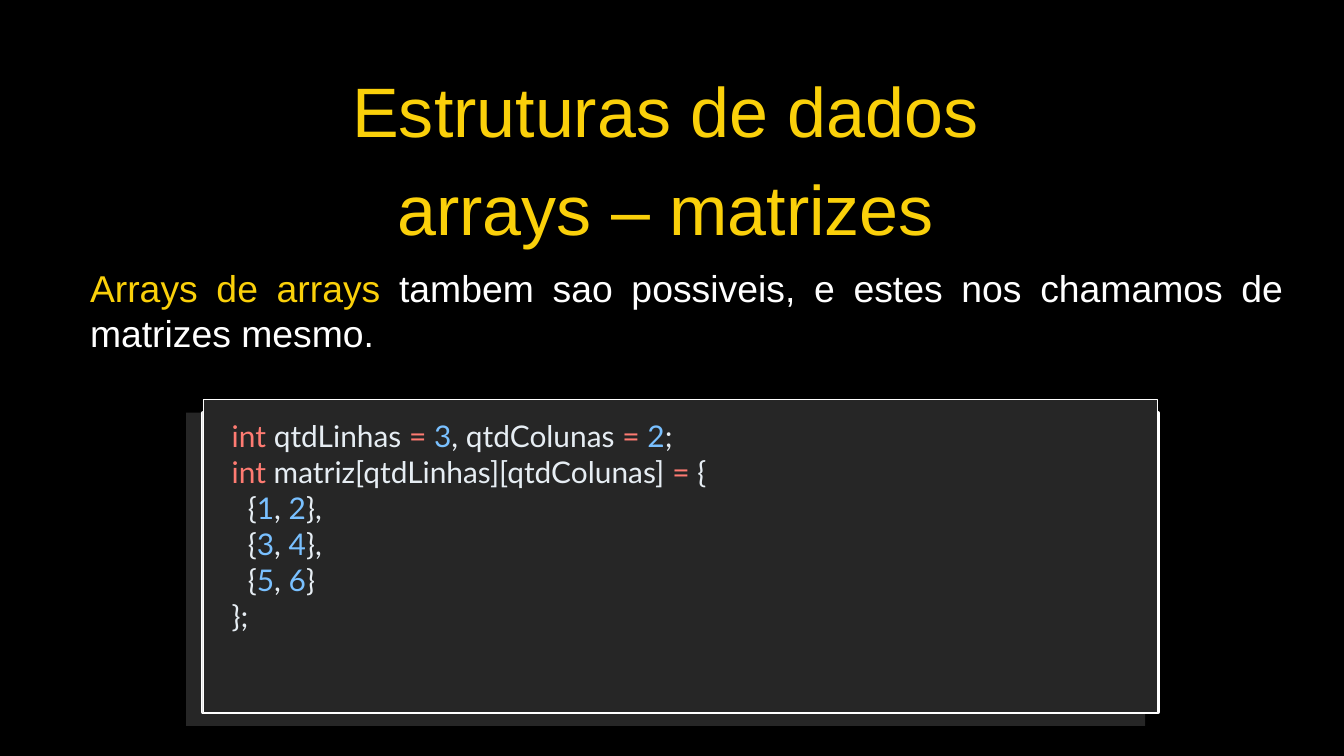
from pptx import Presentation
from pptx import util as u
from pptx.dml.color import RGBColor
from pptx.enum import shapes, text

COLUMNS, ROWS = 20, 11.25
BLACK, WHITE, GRAY, YELLOW = "000000", "FFFFFF", "262626", "FAD00A"
KEYWORD, PLAIN, NUMBER = "FF7B72", "E6EDF3", "79C0FF"


def color(value):
    return RGBColor.from_string(value)


class SlideBuilder:
    def __init__(self, deck):
        self.column = deck.slide_width / COLUMNS
        self.row = deck.slide_height / ROWS
        self.page = deck.slides.add_slide(deck.slide_layouts[6])
        self.page.background.fill.solid()
        self.page.background.fill.fore_color.rgb = color(BLACK)

    def place(self, left, top, width, height):
        return (round(left * self.column), round(top * self.row),
                round(width * self.column), round(height * self.row))

    def paint(self, shape, line):
        shape.shadow.inherit = False
        shape.fill.solid()
        shape.fill.fore_color.rgb = color(GRAY)
        if line:
            shape.line.color.rgb = color(WHITE)
            shape.line.width = u.Pt(line)
        else:
            shape.line.fill.background()

    def panel(self, *area, line=0):
        shape = self.page.shapes.add_shape(shapes.MSO_SHAPE.RECTANGLE, *self.place(*area))
        self.paint(shape, line)

    def outline(self, *area, line=0):
        left, top, width, height = self.place(*area)
        right, bottom = left + width, top + height
        builder = self.page.shapes.build_freeform(left, top)
        builder.add_line_segments([(right, top), (right, bottom), (left, bottom)], close=True)
        self.paint(builder.convert_to_shape(), line)

    def frame(self, *area, margins=(0, 0)):
        frame = self.page.shapes.add_textbox(*self.place(*area)).text_frame
        frame.word_wrap = True
        frame.margin_left = frame.margin_right = u.Inches(margins[0])
        frame.margin_top = frame.margin_bottom = u.Inches(margins[1])
        return frame

    def text_box(self, area, paragraphs, font, size, align, spacing=None, margins=(0, 0)):
        frame = self.frame(*area, margins=margins)
        for index, (indent, spans) in enumerate(paragraphs):
            para = frame.add_paragraph() if index else frame.paragraphs[0]
            para.alignment = align
            if spacing:
                para.line_spacing = u.Pt(spacing)
            if indent:
                properties = para._p.get_or_add_pPr()
                properties.set("marL", str(round(indent * self.column)))
                properties.set("indent", "0")
            for words, tint in spans:
                span = para.add_run()
                span.text = words
                span.font.name = font
                span.font.size = u.Pt(size)
                span.font.color.rgb = color(tint)


def matrix_row(first, second, ending):
    return 0.24, [("{", PLAIN), (first, NUMBER), (", ", PLAIN),
                  (second, NUMBER), (ending, PLAIN)]


def main():
    deck = Presentation()
    deck.slide_width, deck.slide_height = u.Inches(COLUMNS), u.Inches(ROWS)
    slide = SlideBuilder(deck)
    align = text.PP_ALIGN

    for left, top, width, lines in ((2.77, 6.14, 14.27, (0, 0)),
                                    (3.02, 5.94, 14.21, (4.5, 0.75))):
        slide.outline(left, top + 0.21, width, 4.45, line=lines[0])
        slide.panel(left, top, width, 4.66, line=lines[1])

    title = [(0, [(words, YELLOW)]) for words in ("Estruturas de dados", "arrays – matrizes")]
    slide.text_box((1.03, 0.8, 17.75, 2.8), title, "Arial", 75, align.CENTER, spacing=105)

    summary = [(0, [("Arrays de arrays ", YELLOW),
                    ("tambem sao possiveis, e estes nos chamamos de matrizes mesmo.", WHITE)])]
    slide.text_box((1.34, 3.95, 17.75, 1.35), summary, "Arial", 40, align.JUSTIFY)

    code = [
        (0, [("int ", KEYWORD), ("qtdLinhas ", PLAIN), ("= ", KEYWORD), ("3", NUMBER),
             (", qtdColunas ", PLAIN), ("= ", KEYWORD), ("2", NUMBER), (";", PLAIN)]),
        (0, [("int", KEYWORD), (" matriz[qtdLinhas][qtdColunas] ", PLAIN),
             ("=", KEYWORD), (" {", PLAIN)]),
        matrix_row("1", "2", "},"),
        matrix_row("3", "4", "},"),
        matrix_row("5", "6", "}"),
        (0, [("};", PLAIN)]),
    ]
    slide.text_box((3.35, 6.17, 10.42, 4.41), code, "Lato", 32, align.LEFT, margins=(0.1, 0.05))

    deck.save("out.pptx")


if __name__ == "__main__":
    main()
